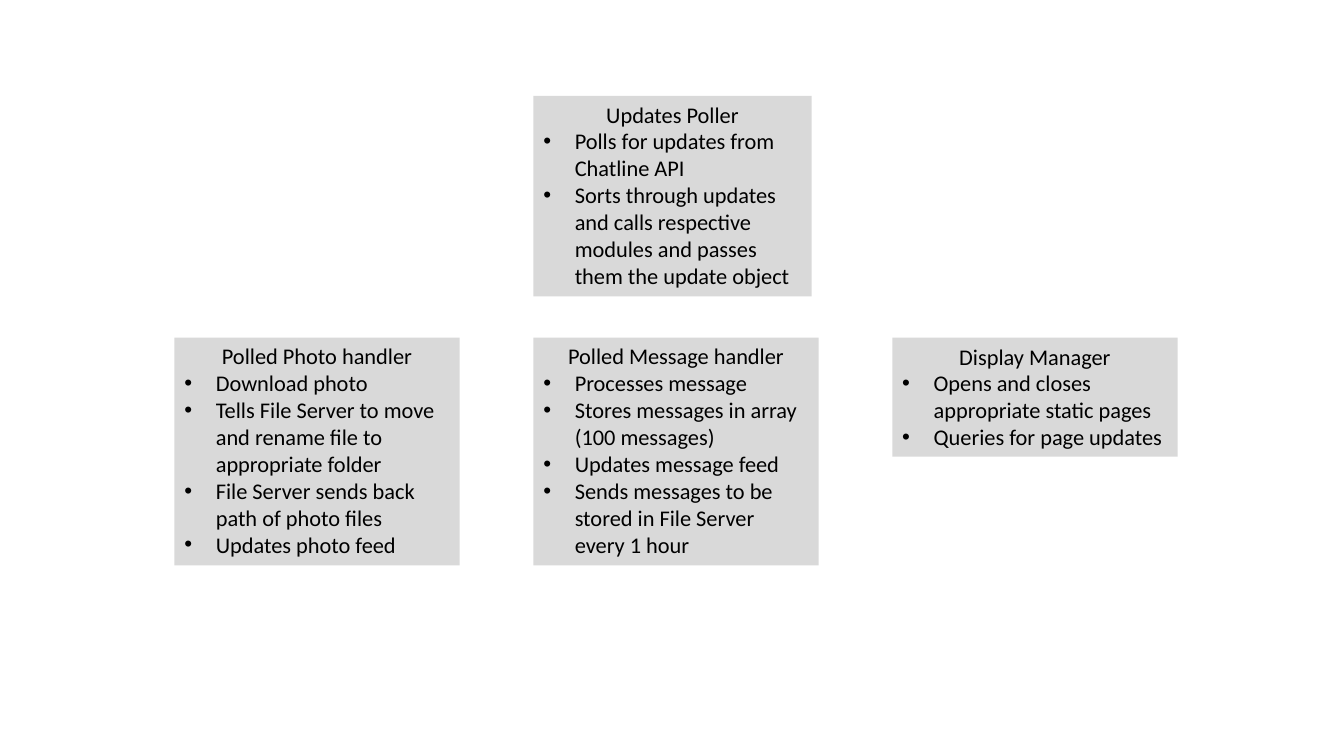
from lxml import etree
from pptx import Presentation, util as u
from pptx.dml import color
from pptx.enum import shapes, text
from pptx.oxml import ns

COLOURS = {"box": "D9D9D9", "text": "000000"}
FONT = {"name": "Calibri", "size": u.Pt(16)}
FRAME = {"word_wrap": True, "auto_size": text.MSO_AUTO_SIZE.SHAPE_TO_FIT_TEXT,
         "vertical_anchor": text.MSO_ANCHOR.TOP}
BULLET_INDENT = u.Pt(22.5)

LEFT, COLUMN_PITCH, BOX_WIDTH = 1.73, 3.56, 2.83
POLLER_WIDTH = 2.76
ROW_TOPS = (0.95, 3.35)
LINE_HEIGHT, PADDING = 0.27, 0.1

MODULES = [
    {"title": "Updates Poller", "row": 0, "column": 1, "lines": 7, "width": POLLER_WIDTH,
     "duties": ["Polls for updates from Chatline API",
                "Sorts through updates and calls respective modules "
                "and passes them the update object"]},
    {"title": "Polled Message handler", "row": 1, "column": 1, "lines": 8, "width": BOX_WIDTH,
     "duties": ["Processes message",
                "Stores messages in array (100 messages)",
                "Updates message feed",
                "Sends messages to be stored in File Server every 1 hour"]},
    {"title": "Polled Photo handler", "row": 1, "column": 0, "lines": 8, "width": BOX_WIDTH,
     "duties": ["Download photo",
                "Tells File Server to move and rename file to appropriate folder",
                "File Server sends back path of photo files",
                "Updates photo feed"]},
    {"title": "Display Manager", "row": 1, "column": 2, "lines": 4, "width": BOX_WIDTH,
     "duties": ["Opens and closes appropriate static pages",
                "Queries for page updates"]},
]


def set_values(target, values):
    """Set each attribute named in a dict of format values."""
    for name, value in values.items():
        setattr(target, name, value)


def write_paragraph(paragraph, words, alignment):
    """Write one aligned paragraph in the module font."""
    paragraph.alignment = alignment
    run = paragraph.add_run()
    run.text = words
    set_values(run.font, FONT)
    run.font.color.rgb = color.RGBColor.from_string(COLOURS["text"])


def add_bullet(paragraph):
    """Give a paragraph a round bullet with a hanging indent."""
    properties = paragraph._p.get_or_add_pPr()
    properties.set("marL", str(BULLET_INDENT))
    properties.set("indent", str(-BULLET_INDENT))
    etree.SubElement(properties, ns.qn("a:buFont"), typeface="Arial")
    etree.SubElement(properties, ns.qn("a:buChar"), char="•")


def add_module(slide, box, title, duties):
    """Draw a module box with a centred title and bulleted duties."""
    shape = slide.shapes.add_shape(shapes.MSO_SHAPE.RECTANGLE, *map(u.Inches, box))
    shape.shadow.inherit = False
    shape.fill.solid()
    shape.fill.fore_color.rgb = color.RGBColor.from_string(COLOURS["box"])
    shape.line.fill.background()
    frame = shape.text_frame
    set_values(frame, FRAME)
    write_paragraph(frame.paragraphs[0], title, text.PP_ALIGN.CENTER)
    for duty in duties:
        paragraph = frame.add_paragraph()
        write_paragraph(paragraph, duty, text.PP_ALIGN.LEFT)
        add_bullet(paragraph)


def build_modules_slide(presentation):
    """Place every module on its column and row."""
    slide = presentation.slides.add_slide(presentation.slide_layouts[6])
    for module in MODULES:
        box = (LEFT + module["column"] * COLUMN_PITCH, ROW_TOPS[module["row"]],
               module["width"], PADDING + module["lines"] * LINE_HEIGHT)
        add_module(slide, box, module["title"], module["duties"])


presentation = Presentation()
set_values(presentation, {"slide_width": u.Inches(13.33), "slide_height": u.Inches(7.5)})
build_modules_slide(presentation)
presentation.save("out.pptx")
